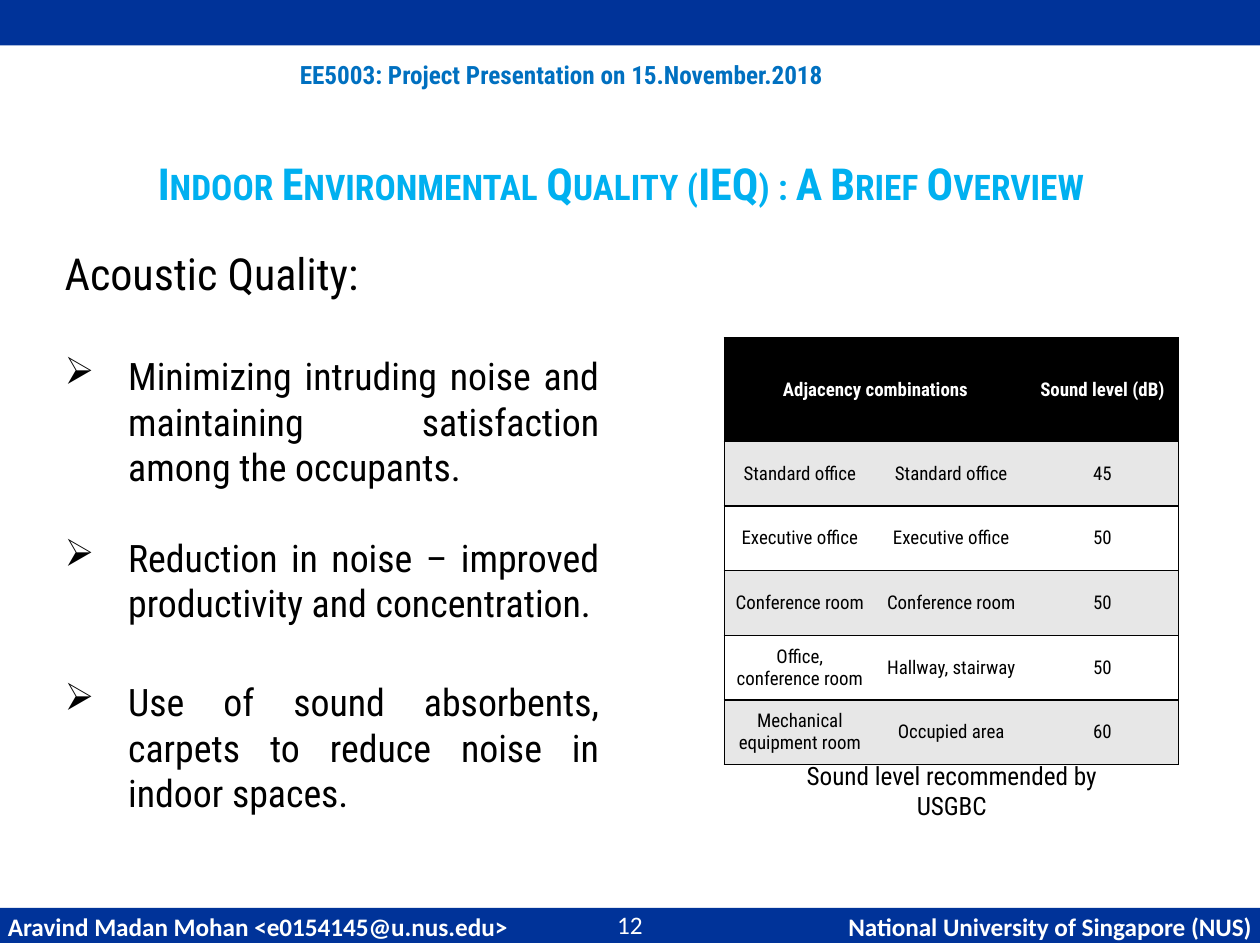
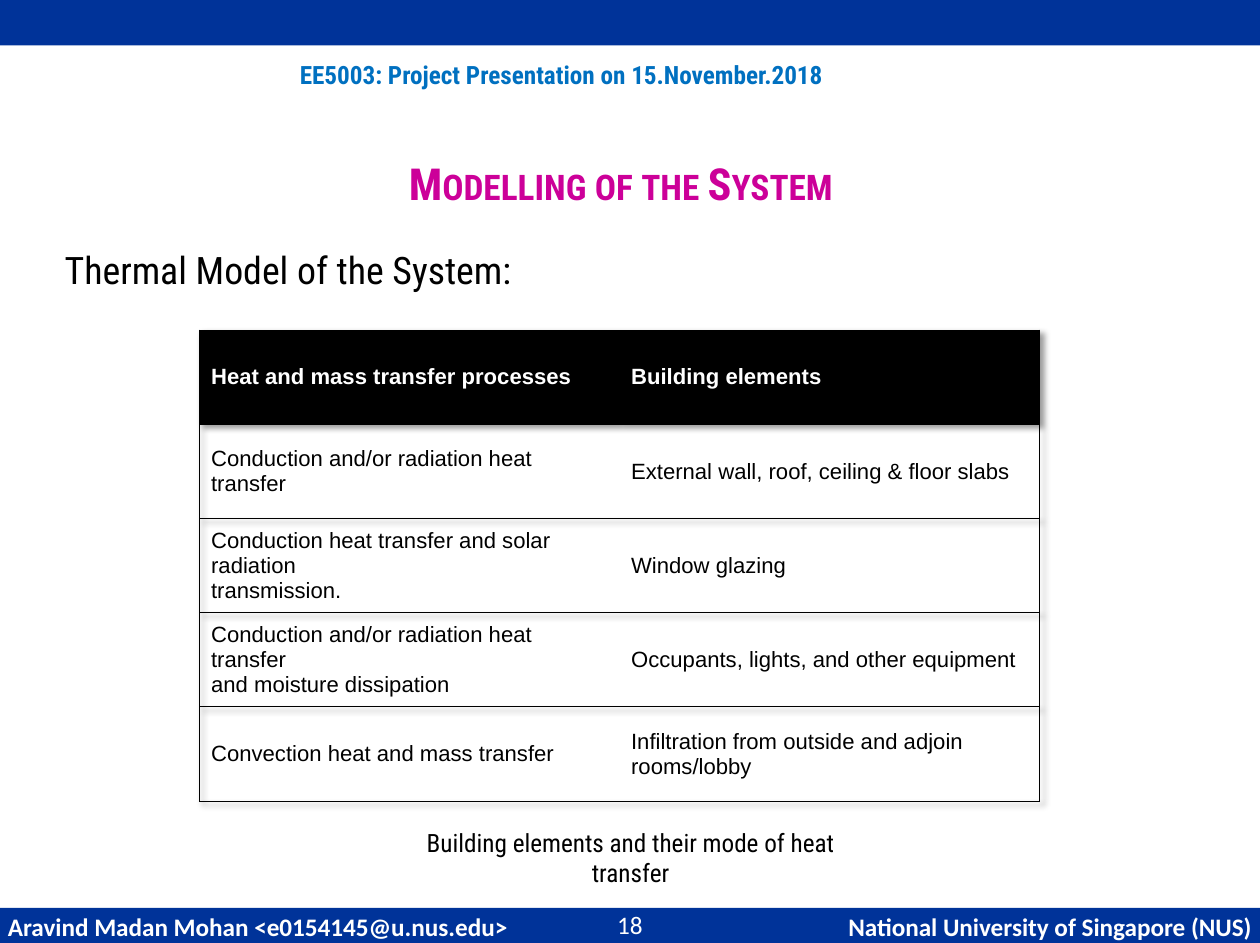
from lxml import etree
from pptx import Presentation
from pptx.dml.color import RGBColor
from pptx.enum.shapes import MSO_SHAPE
from pptx.enum.text import MSO_ANCHOR, PP_ALIGN
from pptx.oxml.ns import qn
from pptx.util import Inches, Pt

RECT = MSO_SHAPE.RECTANGLE
LEFT, CENTER, RIGHT = PP_ALIGN.LEFT, PP_ALIGN.CENTER, PP_ALIGN.RIGHT
JUSTIFY = PP_ALIGN.JUSTIFY
TOP, MIDDLE = MSO_ANCHOR.TOP, MSO_ANCHOR.MIDDLE

CONDENSED, CALIBRI, ARIAL = "Roboto Condensed", "Calibri", "Arial"
NAVY, BLUE, CYAN, MAGENTA = "003399", "0070C0", "00B0F0", "CC0099"
BLACK, WHITE, GREY = "000000", "FFFFFF", "E7E7E7"
PLAIN_TABLE = "{2D5ABB26-0587-4C30-8999-92F81FD0307C}"
SLIDE_W, SLIDE_H = 11.1, 8.31
FOOTER_TOP, FOOTER_H = 8, 0.31

ACOUSTIC_BULLETS = [
    ("Minimizing intruding noise and maintaining satisfaction among the occupants.", 34),
    ("Reduction in noise – improved productivity and concentration.", 29),
    ("Use of sound absorbents, carpets to reduce noise in indoor spaces.", 34),
]
SOUND_LEVELS = [
    ("Adjacency combinations", None, "Sound level (dB)"),
    ("Standard office", "Standard office", "45"),
    ("Executive office", "Executive office", "50"),
    ("Conference room", "Conference room", "50"),
    ("Office, conference room", "Hallway, stairway", "50"),
    ("Mechanical equipment room", "Occupied area", "60"),
]
HEAT_TRANSFER = [
    ("Heat and mass transfer processes", "Building elements"),
    ("Conduction and/or radiation heat transfer",
     "External wall, roof, ceiling & floor slabs"),
    ("Conduction heat transfer and solar radiation\ntransmission.", "Window glazing"),
    ("Conduction and/or radiation heat transfer\nand moisture dissipation",
     "Occupants, lights, and other equipment"),
    ("Convection heat and mass transfer",
     "Infiltration from outside and adjoin\nrooms/lobby"),
]


def rgb(value):
    return RGBColor.from_string(value)


def sub(parent, tag, **attrs):
    el = etree.SubElement(parent, qn(tag))
    for name, value in attrs.items():
        el.set(name, str(value))
    return el


def write(p, text, size=16, font=CONDENSED, color=BLACK, bold=False,
          align=LEFT, small_caps=False):
    p.text = text
    p.alignment = align
    for r in p.runs:
        r.font.size = Pt(size)
        r.font.name = font
        r.font.bold = bold
        r.font.color.rgb = rgb(color)
        if small_caps:
            r.font._element.set("cap", "small")


def add_text(s, text, x, y, w, h, anchor=TOP, inset=(0.1, 0.05), **fmt):
    sp = s.shapes.add_textbox(Inches(x), Inches(y), Inches(w), Inches(h))
    tf = sp.text_frame
    tf.word_wrap = True
    tf.vertical_anchor = anchor
    tf.margin_left = tf.margin_right = Inches(inset[0])
    tf.margin_top = tf.margin_bottom = Inches(inset[1])
    write(tf.paragraphs[0], text, **fmt)
    return tf


def add_bullet(tf, text, gap, **fmt):
    p = tf.add_paragraph()
    pPr = p._p.get_or_add_pPr()
    pPr.set("marL", str(Inches(0.56)))
    pPr.set("indent", str(-Inches(0.56)))
    sub(sub(pPr, "a:buClr"), "a:srgbClr", val=BLACK)
    sub(pPr, "a:buChar", char="➢")
    p.space_before = Pt(gap)
    write(p, text, **fmt)


def add_band(s, y, h):
    sp = s.shapes.add_shape(RECT, 0, Inches(y), Inches(SLIDE_W), Inches(h))
    sp.shadow.inherit = False
    sp.fill.solid()
    sp.fill.fore_color.rgb = rgb(NAVY)
    sp.line.fill.background()


def set_borders(cell, sides, width):
    tcPr = cell._tc.get_or_add_tcPr()
    for side in sides:
        ln = sub(tcPr, f"a:ln{side}", w=Pt(width))
        sub(sub(ln, "a:solidFill"), "a:srgbClr", val=BLACK)


def add_shadow(tbl):
    effects = etree.Element(qn("a:effectLst"))
    shadow = sub(effects, "a:outerShdw", blurRad=Pt(4), dist=Pt(3),
                 dir=2700000, algn="tl", rotWithShape=0)
    sub(sub(shadow, "a:srgbClr", val=BLACK), "a:alpha", val=40000)
    tbl.tblPr.insert(0, effects)


def add_grid(s, rows, x, y, w, heights, border, stripes=(None, None),
             shadow=False, **fmt):
    last = len(rows[0]) - 1
    frame = s.shapes.add_table(len(rows), last + 1, Inches(x), Inches(y),
                               Inches(w), Inches(sum(heights)))
    table = frame.table
    tbl = table._tbl
    tbl.tblPr.find(qn("a:tableStyleId")).text = PLAIN_TABLE
    table.horz_banding = False
    if shadow:
        add_shadow(tbl)
    for i, (row, height) in enumerate(zip(rows, heights)):
        table.rows[i].height = Inches(height)
        header = i == 0
        fill = BLACK if header else stripes[i % 2]
        for j, text in enumerate(row):
            cell = table.cell(i, j)
            sides = ("L" if j == 0 else "") + ("R" if j == last else "") + "TB"
            set_borders(cell, sides, border)
            if fill:
                cell.fill.solid()
                cell.fill.fore_color.rgb = rgb(fill)
            else:
                cell.fill.background()
            if text is None:
                table.cell(i, j - 1).merge(cell)
                continue
            cell.vertical_anchor = MIDDLE
            write(cell.text_frame.paragraphs[0], text, bold=header,
                  color=WHITE if header else BLACK, **fmt)


def add_page(prs, title, color, number):
    s = prs.slides.add_slide(prs.slide_layouts[6])
    add_band(s, FOOTER_TOP, FOOTER_H)
    add_band(s, 0, 0.4)
    footer = dict(y=FOOTER_TOP + 0.01, h=FOOTER_H, anchor=MIDDLE, inset=(0.07, 0),
                  font=CALIBRI, color=WHITE)
    add_text(s, "Aravind Madan Mohan <e0154145@u.nus.edu>", x=0, w=4.8,
             bold=True, **footer)
    add_text(s, "National University of Singapore (NUS)", x=6.3, w=4.8,
             bold=True, align=RIGHT, **footer)
    footer["y"] = FOOTER_TOP - 0.01
    add_text(s, number, x=4.85, w=1.4, align=CENTER, **footer)
    add_text(s, "EE5003: Project Presentation on 15.November.2018",
             0.55, 0.47, 8.79, 0.37, color=BLUE, bold=True, align=CENTER)
    add_text(s, title, 0.46, 1.29, 10.02, 0.65, anchor=MIDDLE, inset=(0.1, 0),
             size=28, color=color, bold=True, align=CENTER, small_caps=True)
    return s


def add_body(s, heading, w, h, size):
    return add_text(s, heading, 0.46, 2.11, w, h, inset=(0.11, 0.06),
                    size=size, align=JUSTIFY)


def acoustic_slide(prs):
    s = add_page(prs, "Indoor Environmental Quality (IEQ) : A Brief Overview", CYAN, "12")
    tf = add_body(s, "Acoustic Quality:", 4.93, 5.58, 28)
    for text, gap in ACOUSTIC_BULLETS:
        add_bullet(tf, text, gap, size=24, align=JUSTIFY)
    add_text(s, "Sound level recommended by USGBC", 6.71, 6.65, 3.35, 0.37, align=CENTER)
    add_grid(s, SOUND_LEVELS, 6.38, 2.98, 4, [0.91] + [0.57] * 5, border=1,
             stripes=(WHITE, GREY), size=12, align=CENTER)


def thermal_slide(prs):
    s = add_page(prs, "Modelling of the System", MAGENTA, "18")
    add_body(s, "Thermal Model of the System:", 9.76, 0.63, 24)
    add_grid(s, HEAT_TRANSFER, 1.76, 2.91, 7.4, [0.83] * 5, border=0.75,
             shadow=True, size=14, font=ARIAL)
    add_text(s, "Building elements and their mode of heat transfer",
             3.34, 7.24, 4.43, 0.37, align=CENTER)


def main():
    prs = Presentation()
    prs.slide_width = Inches(SLIDE_W)
    prs.slide_height = Inches(SLIDE_H)
    acoustic_slide(prs)
    thermal_slide(prs)
    prs.save("out.pptx")


if __name__ == "__main__":
    main()
